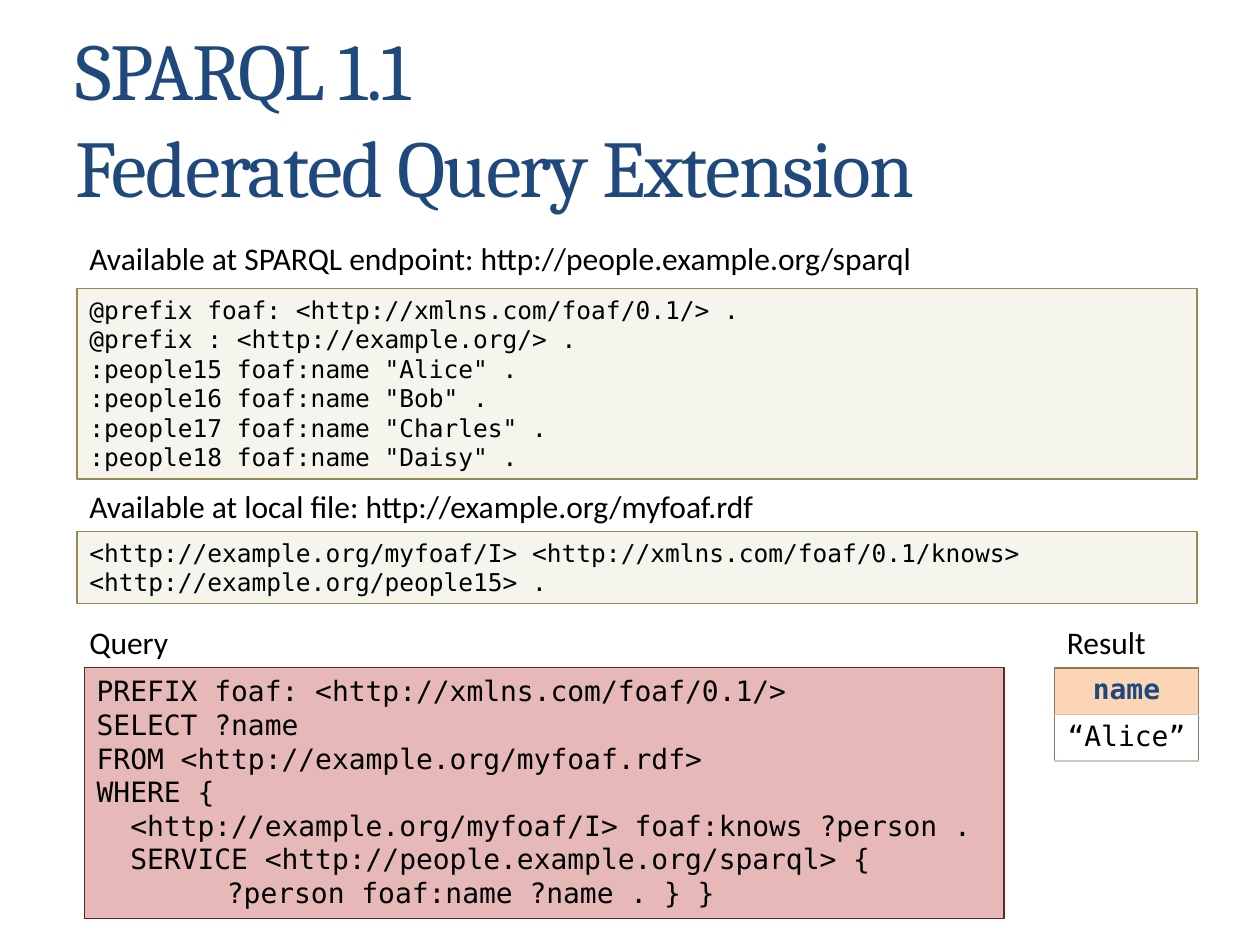
from dataclasses import dataclass

from lxml.etree import SubElement
from pptx import Presentation
from pptx.dml.color import RGBColor
from pptx.enum.shapes import MSO_SHAPE
from pptx.enum.text import MSO_ANCHOR, MSO_AUTO_SIZE, PP_ALIGN
from pptx.oxml import parse_xml
from pptx.oxml.ns import nsdecls, qn
from pptx.slide import Slide
from pptx.util import Pt

COLORS = {
    "title": "1F497D",
    "text": "000000",
    "data_fill": "F5F4ED",
    "data_line": "948A54",
    "query_fill": "E6B9B8",
    "query_line": "632523",
    "header_fill": "FCD5B5",
    "table_line": "8E795E",
    "table_rule": "D0C6B8",
}
LEFT = 44
RESULT_LEFT = 602.6
LOWER_TOP = 381.6

ENDPOINT_DATA = [
    "@prefix foaf: <http://xmlns.com/foaf/0.1/> .",
    "@prefix : <http://example.org/> .",
    ':people15 foaf:name "Alice" .',
    ':people16 foaf:name "Bob" .',
    ':people17 foaf:name "Charles" .',
    ':people18 foaf:name "Daisy" .',
]
LOCAL_DATA = [
    "<http://example.org/myfoaf/I> <http://xmlns.com/foaf/0.1/knows> "
    "<http://example.org/people15> .",
]
QUERY = [
    "PREFIX foaf: <http://xmlns.com/foaf/0.1/>",
    "SELECT ?name",
    "FROM <http://example.org/myfoaf.rdf>",
    "WHERE {",
    "  <http://example.org/myfoaf/I> foaf:knows ?person .",
    "  SERVICE <http://people.example.org/sparql> {",
    "\t    ?person foaf:name ?name . } }",
]


def rgb(name):
    return RGBColor.from_string(COLORS[name])


@dataclass
class SlideBuilder:
    slide: Slide
    title_font: str = "Cambria"
    label_font: str = "Calibri"
    code_font: str = "DejaVu Sans Mono"

    def add_run(self, paragraph, text, font, size, color="text", bold=False):
        run = paragraph.add_run()
        run.text = text
        run.font.name = font
        run.font.size = Pt(size)
        run.font.bold = bold
        run.font.color.rgb = rgb(color)
        return run

    def add_title(self, lines, left, top, width, height):
        box = self.slide.shapes.add_textbox(Pt(left), Pt(top), Pt(width), Pt(height))
        frame = box.text_frame
        frame.word_wrap = True
        frame.vertical_anchor = MSO_ANCHOR.MIDDLE
        paragraph = frame.paragraphs[0]
        for index, line in enumerate(lines):
            if index:
                paragraph.add_line_break()
                line_break = paragraph._p.findall(qn("a:br"))[-1]
                SubElement(line_break, qn("a:rPr"), sz="4600")
            run = self.add_run(paragraph, line, self.title_font, 46, "title")
            self.style_title_run(run)

    def style_title_run(self, run):
        """Tighten the letter spacing and add a soft text shadow."""
        properties = run.font._element
        properties.set("spc", "-100")
        shadow = parse_xml(
            f'<a:effectLst {nsdecls("a")}>'
            '<a:outerShdw blurRad="50800" dist="38100" dir="2700000" algn="tl">'
            '<a:srgbClr val="000000"><a:alpha val="40000"/></a:srgbClr>'
            "</a:outerShdw></a:effectLst>"
        )
        properties.find(qn("a:solidFill")).addnext(shadow)

    def add_label(self, text, left, top, width):
        box = self.slide.shapes.add_textbox(Pt(left), Pt(top), Pt(width), Pt(29))
        box.text_frame.word_wrap = False
        box.text_frame.auto_size = MSO_AUTO_SIZE.SHAPE_TO_FIT_TEXT
        self.add_run(box.text_frame.paragraphs[0], text, self.label_font, 18)

    def add_code_box(self, lines, left, top, width, height, kind, size):
        shape = self.slide.shapes.add_shape(
            MSO_SHAPE.RECTANGLE, Pt(left), Pt(top), Pt(width), Pt(height)
        )
        shape.shadow.inherit = False
        shape.fill.solid()
        shape.fill.fore_color.rgb = rgb(f"{kind}_fill")
        shape.line.color.rgb = rgb(f"{kind}_line")
        shape.line.width = Pt(0.75)
        frame = shape.text_frame
        frame.word_wrap = True
        frame.auto_size = MSO_AUTO_SIZE.SHAPE_TO_FIT_TEXT
        frame.vertical_anchor = MSO_ANCHOR.TOP
        for index, line in enumerate(lines):
            paragraph = frame.add_paragraph() if index else frame.paragraphs[0]
            paragraph.alignment = PP_ALIGN.LEFT
            self.add_run(paragraph, line, self.code_font, size)

    def add_result_table(self, values, left, top, width, row_height):
        """Add a one-column table whose first value is the header."""
        table = self.slide.shapes.add_table(
            len(values), 1, Pt(left), Pt(top), Pt(width), Pt(row_height * len(values))
        ).table
        table.horz_banding = False
        for index, value in enumerate(values):
            header = index == 0
            cell = table.cell(index, 0)
            if header:
                cell.fill.solid()
                cell.fill.fore_color.rgb = rgb("header_fill")
            else:
                cell.fill.background()
            paragraph = cell.text_frame.paragraphs[0]
            paragraph.alignment = PP_ALIGN.CENTER
            color = "title" if header else "text"
            self.add_run(paragraph, value, self.code_font, 16, color, header)
            top_color = "table_line" if header else "table_rule"
            self.add_borders(cell, top_color)

    def add_borders(self, cell, top_color):
        sides = {
            "L": "table_line", "R": "table_line", "T": top_color, "B": "table_rule",
        }
        properties = cell._tc.get_or_add_tcPr()
        for index, (side, color) in enumerate(sides.items()):
            border = parse_xml(
                f'<a:ln{side} {nsdecls("a")} w="12700"><a:solidFill>'
                f'<a:srgbClr val="{COLORS[color]}"/></a:solidFill></a:ln{side}>'
            )
            properties.insert(index, border)


def main():
    presentation = Presentation()
    presentation.slide_width = Pt(720)
    presentation.slide_height = Pt(540)
    builder = SlideBuilder(presentation.slides.add_slide(presentation.slide_layouts[6]))

    builder.add_title(["SPARQL 1.1 ", "Federated Query Extension"], 36, 21.6, 648.7, 90)
    builder.add_code_box(QUERY, 48.2, LOWER_TOP, 525.6, 143.3, "query", 16)
    builder.add_code_box(ENDPOINT_DATA, LEFT, 165, 640, 108.7, "data", 14)
    builder.add_code_box(LOCAL_DATA, LEFT, 303.8, 640, 41, "data", 14)
    for text, left, top, width in [
        ("Available at SPARQL endpoint: http://people.example.org/sparql", LEFT, 133.2, 490.3),
        ("Available at local file: http://example.org/myfoaf.rdf", LEFT, 274.5, 398.9),
        ("Query", LEFT, 352.3, 59.8),
        ("Result", RESULT_LEFT, 352.3, 59.8),
    ]:
        builder.add_label(text, left, top, width)
    builder.add_result_table(["name", "“Alice”"], RESULT_LEFT, LOWER_TOP, 82.3, 26.7)
    presentation.save("out.pptx")


if __name__ == "__main__":
    main()
